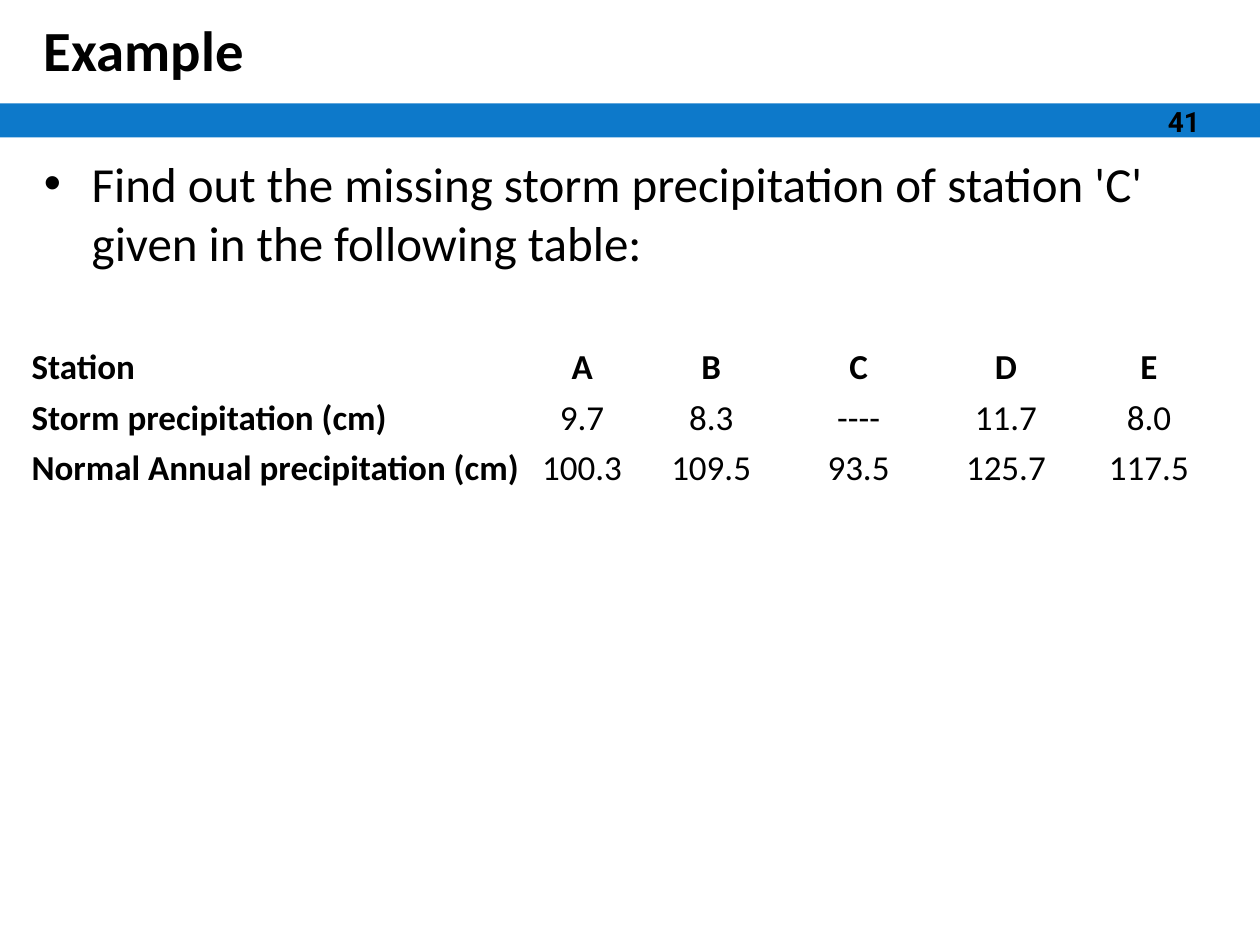
from lxml import etree
from pptx import Presentation
from pptx.dml.color import RGBColor
from pptx.enum import shapes, text
from pptx.oxml.ns import qn
from pptx.util import Inches, Pt

BLACK = RGBColor(0x00, 0x00, 0x00)
BLUE = RGBColor(0x0D, 0x79, 0xCA)

STATIONS = [
    ["Station", "A", "B", "C", "D", "E"],
    ["Storm precipitation (cm)", "9.7", "8.3", "----", "11.7", "8.0"],
    ["Normal Annual precipitation (cm)", "100.3", "109.5", "93.5", "125.7", "117.5"],
]
COLUMN_WIDTHS = [3.93, 0.88, 1.17, 1.17, 1.17, 1.1]
ROW_HEIGHTS = [0.4, 0.4, 0.79]


def set_font(paragraph, size, bold=False, name="Calibri"):
    font = paragraph.font
    font.name, font.size, font.bold = name, Pt(size), bold
    font.color.rgb = BLACK


def add_text(slide, box, words, anchor=text.MSO_ANCHOR.MIDDLE):
    """Add a wrapping text box and return its paragraph."""
    frame = slide.shapes.add_textbox(*map(Inches, box)).text_frame
    frame.word_wrap = True
    frame.vertical_anchor = anchor
    paragraph = frame.paragraphs[0]
    paragraph.text = words
    return paragraph


def add_band(slide, box):
    band = slide.shapes.add_shape(shapes.MSO_SHAPE.RECTANGLE, *map(Inches, box))
    band.shadow.inherit = False
    band.fill.solid()
    band.fill.fore_color.rgb = BLUE
    band.line.fill.background()


def add_bullet(slide, box, words):
    paragraph = add_text(slide, box, words, text.MSO_ANCHOR.TOP)
    properties = paragraph._p.get_or_add_pPr()
    properties.set("marL", str(Inches(0.38)))
    properties.set("indent", str(Inches(-0.38)))
    etree.SubElement(properties, qn("a:buFont"), typeface="Arial")
    etree.SubElement(properties, qn("a:buChar"), char="•")
    set_font(paragraph, 28)


def add_station_table(slide, left, top):
    table = slide.shapes.add_table(
        len(STATIONS), len(COLUMN_WIDTHS), Inches(left), Inches(top),
        Inches(sum(COLUMN_WIDTHS)), Inches(sum(ROW_HEIGHTS))).table
    table.first_row = table.horz_banding = False
    for column, width in zip(table.columns, COLUMN_WIDTHS):
        column.width = Inches(width)
    for row, height in zip(table.rows, ROW_HEIGHTS):
        row.height = Inches(height)
    for i, values in enumerate(STATIONS):
        for j, value in enumerate(values):
            cell = table.cell(i, j)
            cell.fill.background()
            cell.margin_left = cell.margin_right = 0
            cell.margin_top = cell.margin_bottom = 0
            cell.text = value
            paragraph = cell.text_frame.paragraphs[0]
            paragraph.alignment = text.PP_ALIGN.CENTER if j else text.PP_ALIGN.LEFT
            set_font(paragraph, 20, bold=i == 0 or j == 0)


def main():
    presentation = Presentation()
    presentation.slide_width, presentation.slide_height = Inches(10), Inches(7.5)
    slide = presentation.slides.add_slide(presentation.slide_layouts[6])
    add_band(slide, (0, 0.82, 10, 0.27))
    set_font(add_text(slide, (0.25, 0.07, 9.58, 0.64), "Example"), 32.4, bold=True)
    add_bullet(slide, (0.25, 1.17, 9.5, 1.33),
               "Find out the missing storm precipitation of station 'C' "
               "given in the following table:")
    set_font(add_text(slide, (9.17, 0.75, 0.83, 0.42), "41"), 16, bold=True, name="Roboto")
    add_station_table(slide, 0.25, 2.75)
    presentation.save("out.pptx")


if __name__ == "__main__":
    main()
